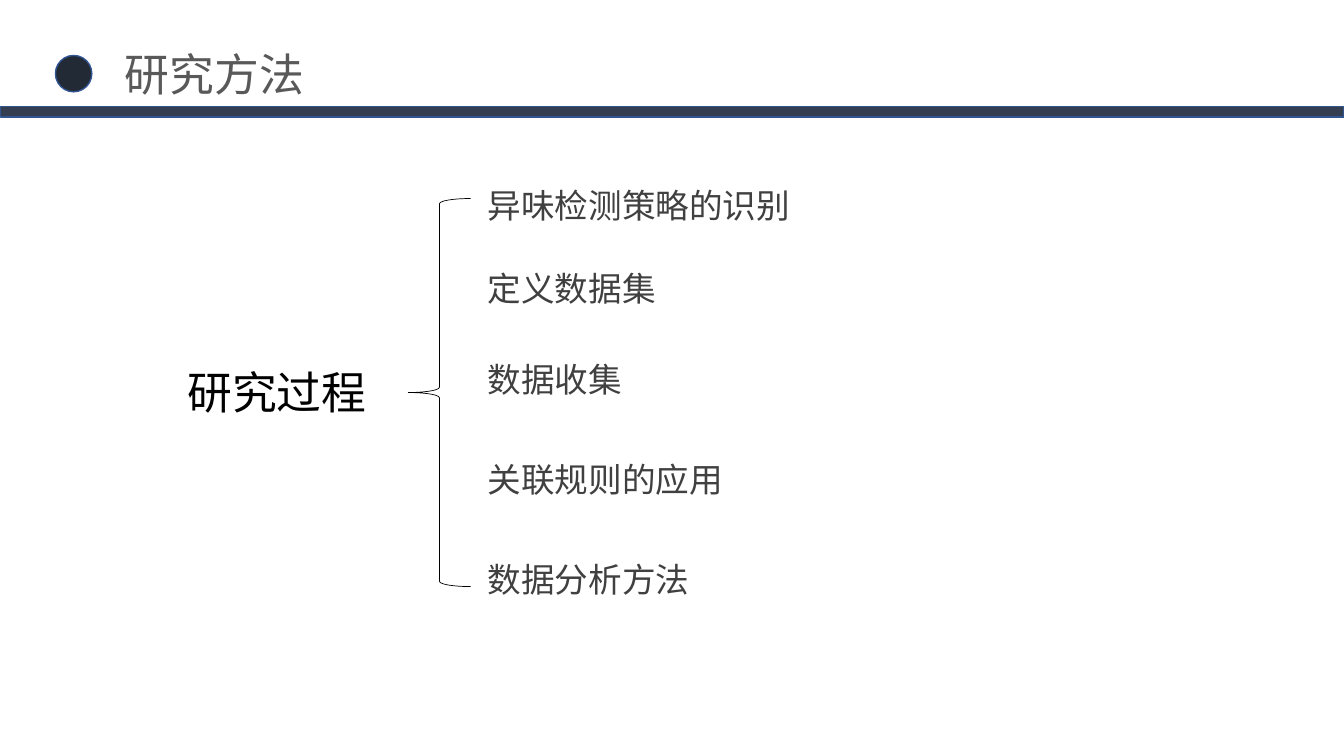
"""Build the research methods slide: a title bar and a braced list of steps."""
from pptx import Presentation
from pptx.dml.color import RGBColor
from pptx.enum.shapes import MSO_SHAPE as Preset
from pptx.enum.text import MSO_ANCHOR as Anchor, MSO_AUTO_SIZE as AutoSize, PP_ALIGN as Align
from pptx.util import Pt


def write_text(shape, text, size, color, wrap=True):
    frame = shape.text_frame
    frame.word_wrap = wrap
    frame.auto_size = AutoSize.SHAPE_TO_FIT_TEXT
    frame.vertical_anchor = Anchor.TOP
    paragraph = frame.paragraphs[0]
    paragraph.alignment = Align.LEFT
    run = paragraph.add_run()
    run.text = text
    run.font.name = "Arial"
    run.font.size = Pt(size)
    run.font.color.rgb = RGBColor.from_string(color)


def add_preset(preset, box, fill, line, line_width):
    shape = slide.shapes.add_shape(preset, *map(Pt, box))
    shape.shadow.inherit = False
    if fill:
        shape.fill.solid()
        shape.fill.fore_color.rgb = RGBColor.from_string(fill)
    else:
        shape.fill.background()
    shape.line.color.rgb = RGBColor.from_string(line)
    shape.line.width = Pt(line_width)


presentation = Presentation()
presentation.slide_width = Pt(960)
presentation.slide_height = Pt(540)
slide = presentation.slides.add_slide(presentation.slide_layouts[5])

title = slide.shapes.title
title.left, title.top, title.width, title.height = Pt(82), Pt(29.5), Pt(144), Pt(46)
write_text(title, "研究方法", 32, "595959", wrap=False)

add_preset(Preset.OVAL, (39.6, 39.6, 26, 26), "222A35", "325491", 1)
add_preset(Preset.RECTANGLE, (0.5, 76.3, 959.5, 7.2), "333F50", "325491", 1)

process = slide.shapes.add_textbox(Pt(126.7), Pt(257), Pt(145.5), Pt(46))
write_text(process, "研究过程", 32, "000000")
add_preset(Preset.LEFT_BRACE, (291.6, 141.8, 44.6, 277.2), None, "000000", 0.5)

steps = [
    ("异味检测策略的识别", 128.9, 270),
    ("定义数据集", 187.9, 364),
    ("数据收集", 252.7, 139),
    ("关联规则的应用", 324, 205),
    ("数据分析方法", 396, 190),
]
for text, top, width in steps:
    step = slide.shapes.add_textbox(Pt(341.3), Pt(top), Pt(width), Pt(36))
    write_text(step, text, 24, "404040")

presentation.save("out.pptx")
